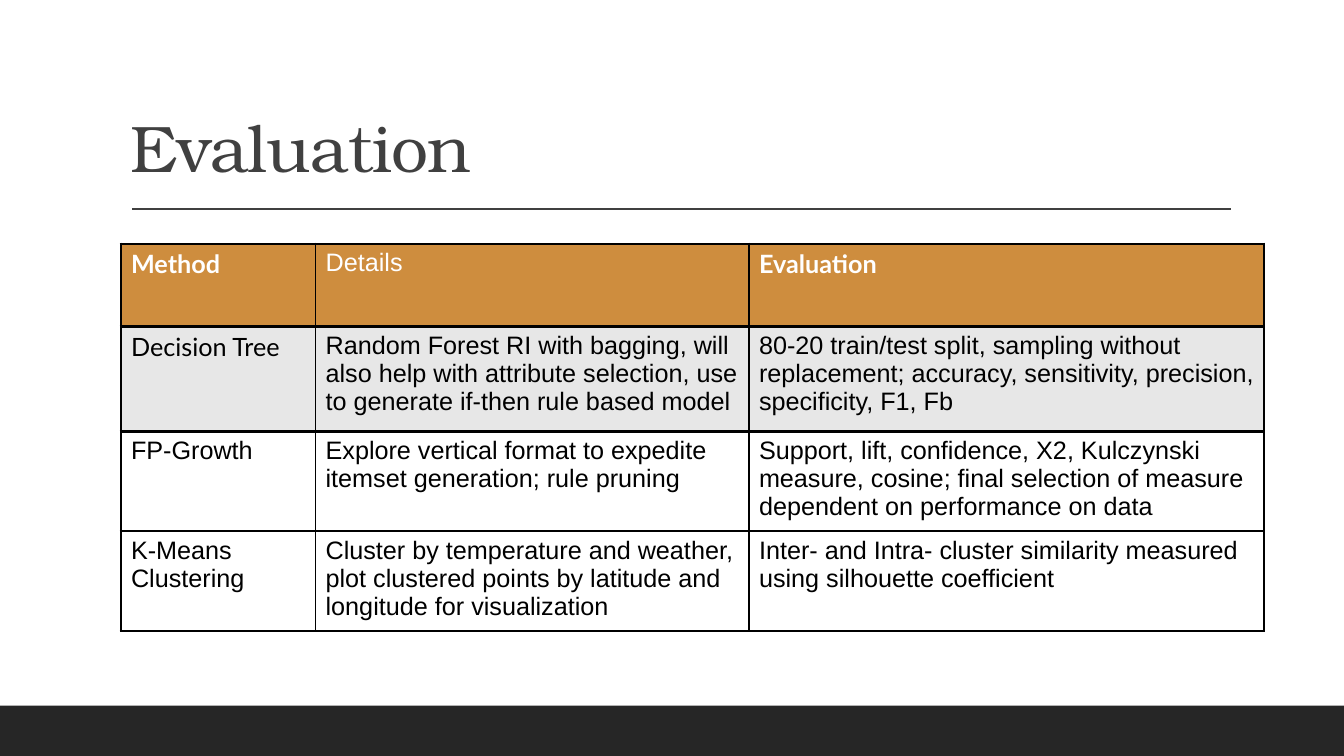
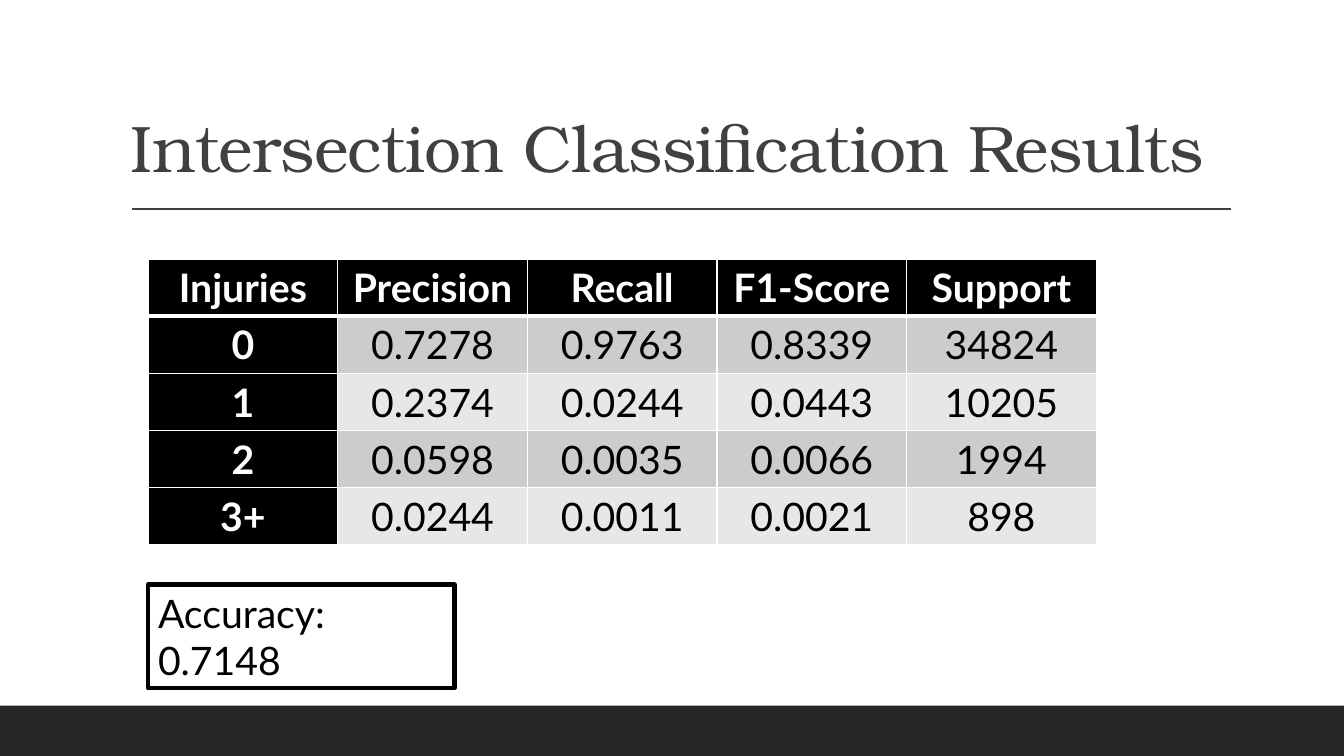
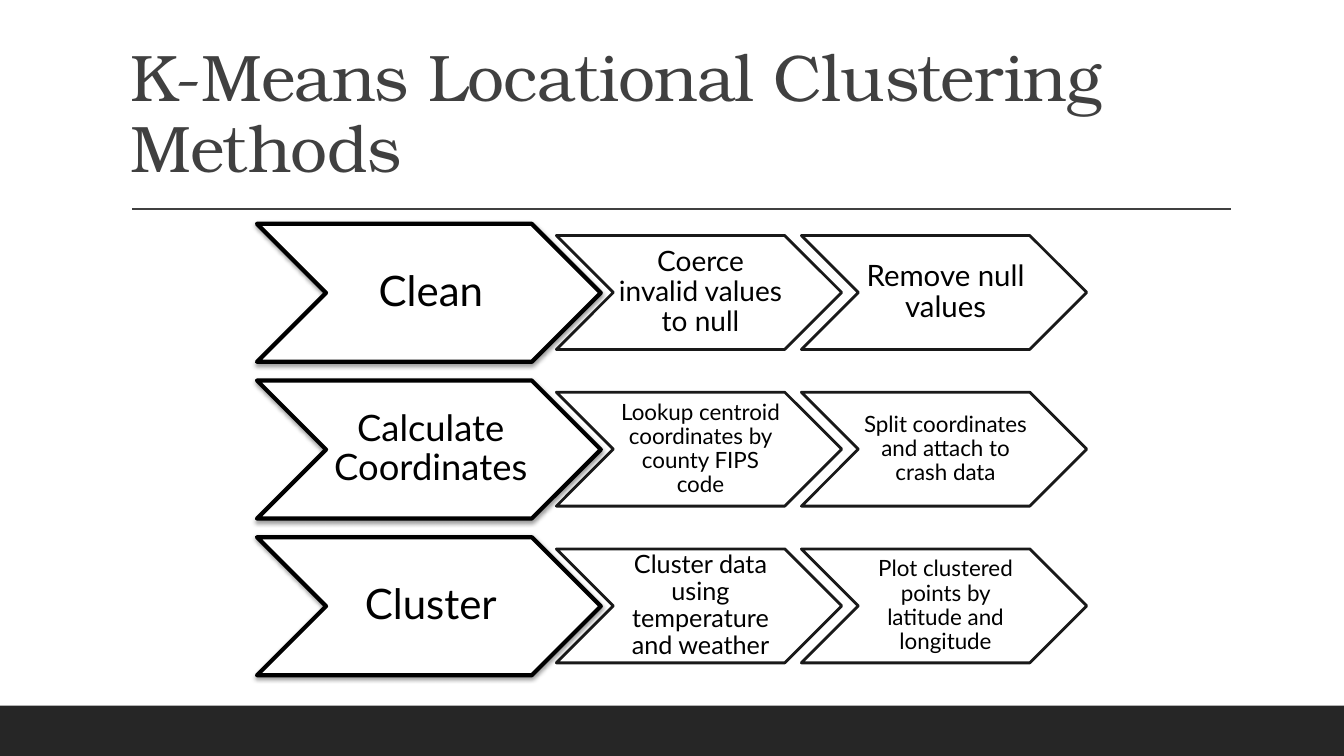
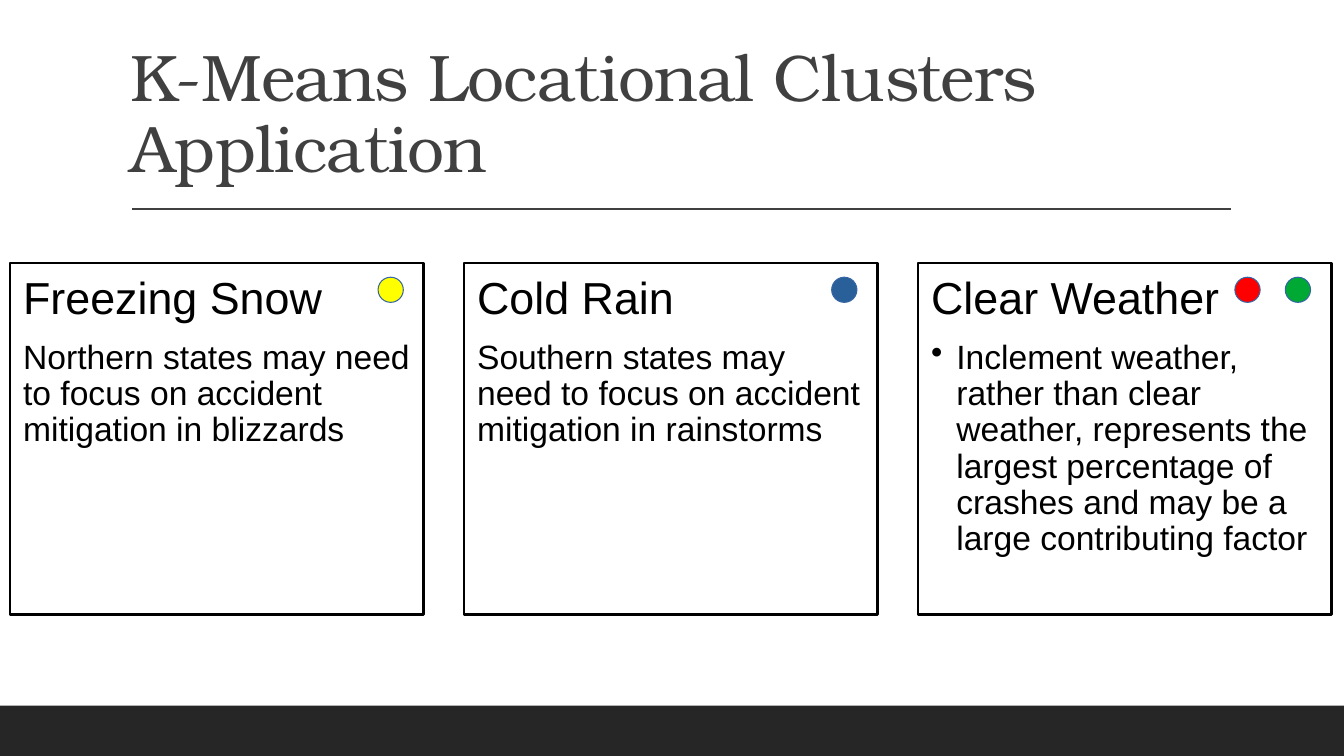
from pptx import Presentation
from pptx.dml.color import RGBColor
from pptx.enum.shapes import MSO_CONNECTOR, MSO_SHAPE
from pptx.enum.text import MSO_ANCHOR, PP_ALIGN
from pptx.oxml import parse_xml
from pptx.oxml.ns import nsdecls, qn
from pptx.util import Inches, Pt

RECT, OVAL, ARROW = MSO_SHAPE.RECTANGLE, MSO_SHAPE.OVAL, MSO_SHAPE.CHEVRON
LINE = MSO_CONNECTOR.STRAIGHT
TOP, MID, LOW = MSO_ANCHOR.TOP, MSO_ANCHOR.MIDDLE, MSO_ANCHOR.BOTTOM
LEFT, CENTER = PP_ALIGN.LEFT, PP_ALIGN.CENTER

SERIF, SANS, ARIAL = "TeX Gyre Bonum", "Lato", "Arial"
BLACK, WHITE, GREY, BAND = "000000", "FFFFFF", "404040", "262626"
AMBER, PALE, SILVER = "CE8D3E", "E7E7E7", "CCCCCC"
hue = RGBColor.from_string

deck = Presentation()
deck.slide_width, deck.slide_height = Inches(13.333), Inches(7.5)
# One column or row is a hundredth of the slide's width or height.
COL, ROW = deck.slide_width / 100, deck.slide_height / 100


def box(slide, kind, x, y, w, h, fill=None, edge=None, width=0, pads=(0.1, 0.05, 0.1, 0.05), anchor=TOP):
    """Add a shape placed in columns and rows, with its text pads in inches."""
    shape = slide.shapes.add_shape(kind, int(x * COL), int(y * ROW), int(w * COL), int(h * ROW))
    shape.shadow.inherit = False
    if fill:
        shape.fill.solid()
        shape.fill.fore_color.rgb = hue(fill)
    else:
        shape.fill.background()
    if edge:
        shape.line.color.rgb = hue(edge)
        shape.line.width = Pt(width)
    else:
        shape.line.fill.background()
    frame = shape.text_frame
    frame.word_wrap, frame.vertical_anchor = True, anchor
    frame.margin_left, frame.margin_top, frame.margin_right, frame.margin_bottom = map(Inches, pads)
    return shape


def write(para, text, size, font, color=BLACK, bold=False, align=LEFT, lead=None, after=0):
    """Style a paragraph and add one run to it."""
    para.alignment, para.line_spacing, para.space_after = align, lead, Pt(after)
    run = para.add_run()
    run.text = text
    run.font.size, run.font.name, run.font.bold = Pt(size), font, bold
    run.font.color.rgb = hue(color)
    return run


# Shared frame: band, rule and title
titles = [
    "Evaluation",
    "Intersection Classification Results",
    "K-Means Locational Clustering Methods",
    "K-Means Locational Clusters Application",
]
slides = []
for title in titles:
    slide = deck.slides.add_slide(deck.slide_layouts[6])
    box(slide, RECT, 0, 93.33, 100, 6.67, BAND)
    rule = slide.shapes.add_connector(LINE, int(9.83 * COL), int(27.67 * ROW), int(91.58 * COL), int(27.67 * ROW))
    rule.line.color.rgb, rule.line.width = hue(GREY), Pt(1)
    rule._element.spPr.append(parse_xml(f"<a:effectLst {nsdecls('a')}/>"))
    head = box(slide, RECT, 9, 4.13, 82.5, 21.2, anchor=LOW)
    run = write(head.text_frame.paragraphs[0], title, 47, SERIF, GREY, lead=0.9)
    run._r.get_or_add_rPr().set("spc", "-50")
    slides.append(slide)
plan, scores, steps, uses = slides

# Tables of methods and scores
methods = [
    ["Method", "Details", "Evaluation"],
    ["Decision Tree",
     "Random Forest RI with bagging, will also help with attribute selection, "
     "use to generate if-then rule based model",
     "80-20 train/test split, sampling without replacement; accuracy, sensitivity, precision, specificity, F1, Fb"],
    ["FP-Growth",
     "Explore vertical format to expedite itemset generation; rule pruning",
     "Support, lift, confidence, Χ2, Kulczynski measure, cosine; "
     "final selection of measure dependent on performance on data"],
    ["K-Means Clustering",
     "Cluster by temperature and weather, plot clustered points by latitude and longitude for visualization",
     "Inter- and Intra- cluster similarity measured using silhouette coefficient"],
]
results = [
    ["Injuries", "Precision", "Recall", "F1-Score", "Support"],
    ["0", "0.7278", "0.9763", "0.8339", "34824"],
    ["1", "0.2374", "0.0244", "0.0443", "10205"],
    ["2", "0.0598", "0.0035", "0.0066", "1994"],
    ["3+", "0.0244", "0.0011", "0.0021", "898"],
]
tables = [
    (plan, methods, 9, 32.27, [14.48, 32.25, 38.33], [10.93, 13.87, 13.2, 13.2]),
    (scores, results, 11.02, 34.27, [14.11] * 5, [6.27] * 5),
]
for slide, data, x, y, wide, high in tables:
    grid = slide.shapes.add_table(
        len(high), len(wide), int(x * COL), int(y * ROW), int(sum(wide) * COL), int(sum(high) * ROW)
    ).table
    grid.first_row = grid.horz_banding = False
    for c, w in enumerate(wide):
        grid.columns[c].width = int(w * COL)
    for r, h in enumerate(high):
        grid.rows[r].height = int(h * ROW)
        for c, text in enumerate(data[r]):
            cell = grid.cell(r, c)
            if slide is plan:
                fill = [AMBER, PALE, WHITE, WHITE][r]
                font = SANS if text in ("Method", "Evaluation", "Decision Tree") else ARIAL
                ink, bold = (WHITE, font == SANS) if r == 0 else (BLACK, False)
                size, align, edge = 18, LEFT, BLACK
                sides = {"L": 1 if c else 2, "R": 1, "T": 2, "B": 2}
            else:
                bold = r == 0 or c == 0
                fill, ink = (BLACK, WHITE) if bold else ([PALE, SILVER][r % 2], BLACK)
                font, size, align, edge = SANS, 28, CENTER, WHITE
                sides = {"L": 1, "R": 1, "T": 3 if r == 1 else 1, "B": 1 if r else 3}
            props = cell._tc.get_or_add_tcPr()
            for side, width in sides.items():
                props.append(parse_xml(
                    f'<a:ln{side} {nsdecls("a")} w="{Pt(width)}"><a:solidFill>'
                    f'<a:srgbClr val="{edge}"/></a:solidFill></a:ln{side}>'
                ))
            cell.fill.solid()
            cell.fill.fore_color.rgb = hue(fill)
            write(cell.text_frame.paragraphs[0], text, size, font, ink, bold, align)

note = box(scores, RECT, 11.02, 77.33, 22.8, 13.73, edge=BLACK, width=3)
write(note.text_frame.paragraphs[0], "Accuracy: 0.7148", 28, SANS)

# Rows of chevrons: one lead step and two details
flow = [
    [("Clean", 30), ("Coerce invalid values to null", 20), ("Remove null values", 21)],
    [("Calculate Coordinates", 26), ("Lookup centroid coordinates by county FIPS code", 16),
     ("Split coordinates and attach to crash data", 16)],
    [("Cluster", 30), ("Cluster data using temperature and weather", 18),
     ("Plot clustered points by latitude and longitude", 16)],
]
for r, row in enumerate(flow):
    y = 29.6 + 20.73 * r
    for c, (text, size) in enumerate(row):
        if c == 0:
            step = box(steps, ARROW, 19.12, y, 25.58, 18.27, WHITE, BLACK, 3, (0.04, 0.02, 0, 0.02), MID)
            step._element.spPr.find(qn("a:effectLst")).append(parse_xml(
                f'<a:outerShdw {nsdecls("a")} blurRad="{Pt(3.1)}" dist="{Pt(1.6)}" dir="5400000" rotWithShape="0">'
                f'<a:srgbClr val="{BLACK}"><a:alpha val="38000"/></a:srgbClr></a:outerShdw>'
            ))
        else:
            step = box(steps, ARROW, 41.4 + 18.23 * (c - 1), y + 1.55, 21.23, 15.07,
                       WHITE, BLACK, 2, (0.03, 0.01, 0, 0.01), MID)
            for tint in step._element.spPr.iter(qn("a:srgbClr")):
                tint.append(parse_xml(f'<a:alpha {nsdecls("a")} val="90000"/>'))
        write(step.text_frame.paragraphs[0], text, size, SANS, align=CENTER, lead=0.9, after=7.3 if c else 10.5)

# Cards with their cluster dots
cards = [
    ("Freezing Snow", "Northern states may need to focus on accident mitigation in blizzards", ["FFFF00"]),
    ("Cold Rain", "Southern states may need to focus on accident mitigation in rainstorms", ["2A6099"]),
    ("Clear Weather",
     "Inclement weather, rather than clear weather, represents the largest percentage of crashes "
     "and may be a large contributing factor", ["00A933", "FF0000"]),
]
for i, (name, text, dots) in enumerate(cards):
    card = box(uses, RECT, 0.75 + 33.78 * i, 34.8, 30.75, 46.53, WHITE, BLACK, 2, [0.13] * 4)
    frame = card.text_frame
    write(frame.paragraphs[0], name, 32, ARIAL, lead=0.9, after=11.2)
    body = frame.add_paragraph()
    write(body, text, 24, ARIAL, lead=0.9, after=3.6)
    if name == "Clear Weather":
        props = body._p.get_or_add_pPr()
        props.set("marL", str(Inches(0.25)))
        props.set("indent", str(-Inches(0.25)))
        props.append(parse_xml(f'<a:buChar {nsdecls("a")} char="•"/>'))
    for j, tint in enumerate(dots):
        box(uses, OVAL, 28.13 + 33.75 * i - 3.75 * j, 36.67, 1.88, 3.33, tint, "3465A4")

deck.save("out.pptx")
